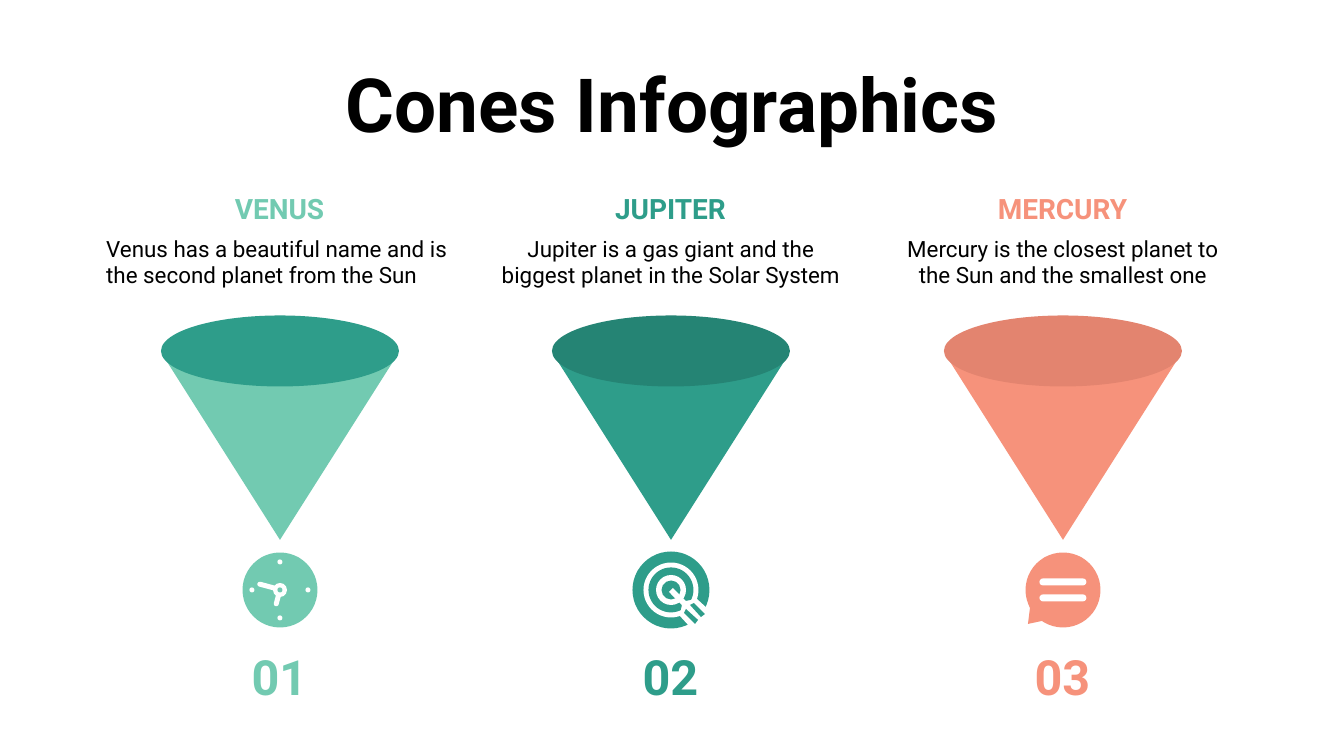
from pptx import Presentation
from pptx.dml.color import RGBColor
from pptx.enum.shapes import MSO_SHAPE as Shape
from pptx.enum.text import MSO_ANCHOR as Anchor, PP_ALIGN as Align
from pptx.util import Inches, Pt

PX = Inches(10) / 1344
BLACK = RGBColor(0x00, 0x00, 0x00)
WHITE = RGBColor(0xFF, 0xFF, 0xFF)
MINT = RGBColor(0x72, 0xCA, 0xB1)
TEAL = RGBColor(0x2E, 0x9D, 0x8A)
DARK_TEAL = RGBColor(0x25, 0x84, 0x74)
CORAL = RGBColor(0xF6, 0x92, 0x7B)
DARK_CORAL = RGBColor(0xE3, 0x84, 0x6F)

presentation = Presentation()
presentation.slide_width = round(1344 * PX)
presentation.slide_height = round(756 * PX)
slide = presentation.slides.add_slide(presentation.slide_layouts[5])
shapes = slide.shapes


def write(text, x, y, width, height, size, color=BLACK, bold=True, align=Align.CENTER, shape=None):
    """Put text in the given shape, or in a new text box."""
    box = [round(value * PX) for value in (x, y, width, height)]
    shape = shape or shapes.add_textbox(*box)
    shape.left, shape.top, shape.width, shape.height = box
    frame = shape.text_frame
    frame.word_wrap = True
    frame.vertical_anchor = Anchor.MIDDLE
    frame.margin_left = frame.margin_right = Inches(0.1)
    frame.margin_top = frame.margin_bottom = Inches(0.1)
    paragraph = frame.paragraphs[0]
    paragraph.alignment = align
    run = paragraph.add_run()
    run.text = text
    run.font.name = "Roboto"
    run.font.size = Pt(size)
    run.font.bold = bold
    run.font.color.rgb = color


def draw(outline, color, x, y, width=0, height=0, rotation=0):
    """Draw a preset shape centred on (x, y), or a polygon of points relative to it."""
    if isinstance(outline, list):
        points = [(x + dx, y + dy) for dx, dy in outline]
        builder = shapes.build_freeform(*points[0], scale=PX)
        builder.add_line_segments(points[1:])
        shape = builder.convert_to_shape()
    else:
        box = (x - width / 2, y - height / 2, width, height)
        shape = shapes.add_shape(outline, *[round(value * PX) for value in box])
        shape.rotation = rotation
    shape.shadow.inherit = False
    shape.fill.solid()
    shape.fill.fore_color.rgb = color
    shape.line.fill.background()
    return shape


write("Cones Infographics", 67, 60, 1210, 85, 40, shape=shapes.title)

# Columns: heading, description, cone and number
columns = [
    ("VENUS", "Venus has a beautiful name and is the second planet from the Sun",
     MINT, TEAL, Align.LEFT),
    ("JUPITER", "Jupiter is a gas giant and the biggest planet in the Solar System",
     TEAL, DARK_TEAL, Align.CENTER),
    ("MERCURY", "Mercury is the closest planet to the Sun and the smallest one",
     CORAL, DARK_CORAL, Align.CENTER),
]
centers = [280, 671, 1063]
for number, (center, column) in enumerate(zip(centers, columns), 1):
    planet, description, color, dark_color, align = column
    write(planet, center - 151, 183, 301, 50, 15, color)
    write(description, center - 187, 220, 374, 83, 12, bold=False, align=align)
    draw([(-116, 0), (116, 0), (0, 183)], color, center, 357)
    draw(Shape.OVAL, dark_color, center, 351, 238, 71)
    write(f"{number:02}", center - 46, 640, 91, 73, 26, color)

ICON_Y = 590
clock, target, message = centers

# Clock: face, hour marks, two hands and a hub
draw(Shape.OVAL, MINT, clock, ICON_Y, 75, 75)
for dx, dy in [(0, -28), (28, 0), (0, 28), (-28, 0)]:
    draw(Shape.OVAL, WHITE, clock + dx, ICON_Y + dy, 5, 5)
for dx, dy, length, angle in [(-10, -3, 26, 15), (-2, 7, 19, 105)]:
    hand = draw(Shape.ROUNDED_RECTANGLE, WHITE, clock + dx, ICON_Y + dy, length, 5, angle)
    hand.adjustments[0] = 0.5
draw(Shape.OVAL, WHITE, clock, ICON_Y, 14, 14)
draw(Shape.OVAL, MINT, clock, ICON_Y, 5, 5)

# Target: rings, then an arrow with two feathers mirrored on its diagonal
for diameter, color in [(77, TEAL), (55, WHITE), (45, TEAL), (30, WHITE), (19, TEAL)]:
    draw(Shape.OVAL, color, target, ICON_Y, diameter, diameter)
arrow_side = [(-2, 2), (11, 15), (9, 26), (20, 38)]
feather = [(19, 15), (23, 13), (34, 24), (30, 27)]
draw(arrow_side + [(dy, dx) for dx, dy in reversed(arrow_side)], WHITE, target, ICON_Y)
draw(feather, TEAL, target, ICON_Y)
draw([(dy, dx) for dx, dy in feather], TEAL, target, ICON_Y)

# Message: speech bubble with two lines
draw(Shape.OVAL, CORAL, message, ICON_Y, 75, 75)
draw([(-37, 5), (-33, 18), (-35, 34), (-21, 31), (0, 20)], CORAL, message, ICON_Y)
for dy in (-8, 8):
    bar = draw(Shape.ROUNDED_RECTANGLE, WHITE, message, ICON_Y + dy, 47, 7)
    bar.adjustments[0] = 0.5

presentation.save("out.pptx")
